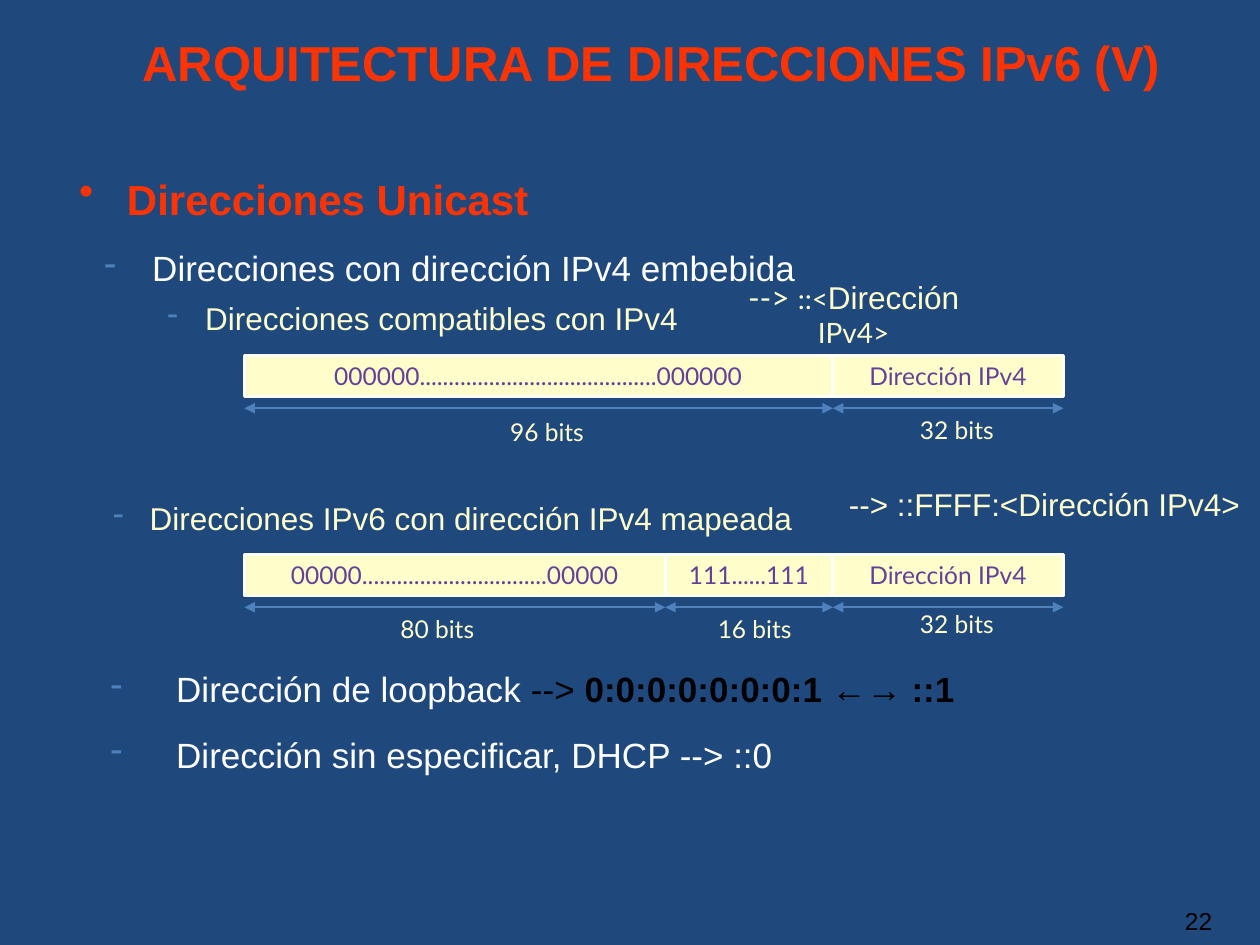
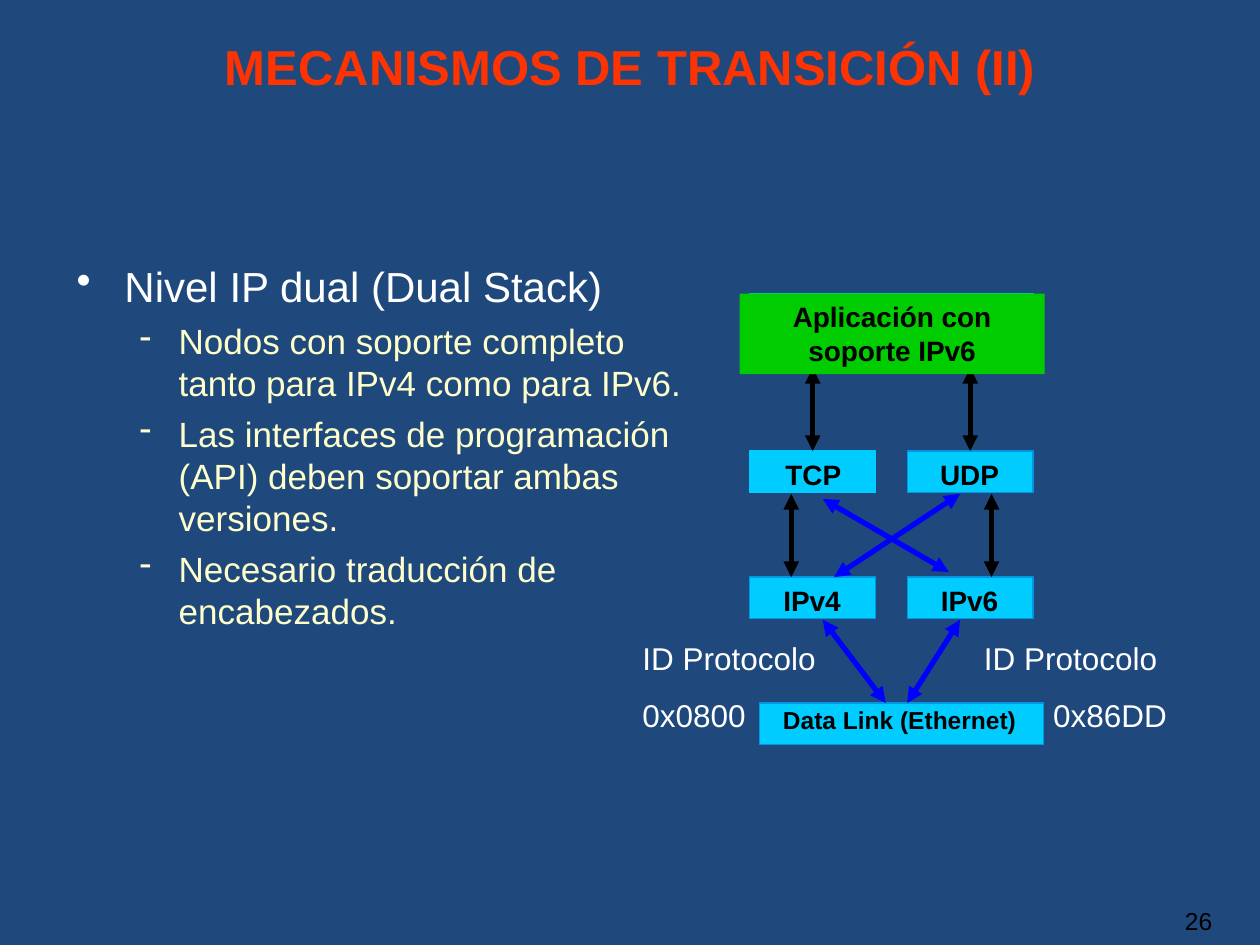
from dataclasses import dataclass
from lxml import etree
from pptx import Presentation
from pptx.dml.color import RGBColor as RGB
from pptx.enum.shapes import MSO_CONNECTOR as LINK, MSO_SHAPE as SHAPE
from pptx.enum.text import MSO_ANCHOR as ANC, MSO_AUTO_SIZE as FIT, PP_ALIGN as AL
from pptx.oxml.ns import qn
from pptx.util import Inches, Pt


@dataclass(frozen=True)
class Theme:
    navy: str = "1F497D"
    red: str = "FF3300"
    white: str = "FFFFFF"
    black: str = "000000"
    cream: str = "FFFFCC"
    steel: str = "4F81BD"
    plum: str = "644098"
    cyan: str = "00CCFF"
    edge: str = "0297E2"
    green: str = "00CC00"
    mint: str = "00D2B4"
    blue: str = "0000FF"
    sans: str = "Arial"
    alt: str = "Lato"
    title: int = 28
    head: int = 24
    body: int = 20
    sub: int = 18
    node: int = 16
    small: int = 14


T = Theme()

# Text styles: size, font, colour, bold
TITLE = (T.title, T.sans, T.red, True)
HEAD = (T.head, T.sans, T.red, True)
LEAD = (T.head, T.sans, T.white, False)
BODY = (T.body, T.sans, T.white, False)
DARK = (T.body, T.sans, T.black, False)
BOLD = (T.body, T.sans, T.black, True)
ITEM = (T.body, T.sans, T.cream, False)
SUB = (T.sub, T.sans, T.cream, False)
SUBALT = (T.sub, T.alt, T.cream, False)
MARK = (T.node, T.alt, T.cream, False)
SIDE = (T.sub, T.sans, T.white, False)
NODE = (T.node, T.sans, T.black, True)
LINKED = (T.small, T.sans, T.black, True)
PAGE = (T.small, T.sans, T.black, False)
FIELD = (T.small, T.alt, T.plum, False)
BITS = (T.small, T.alt, T.cream, False)


def write(shape, paras, **frame):
    """Fill a shape; each paragraph is (runs, format), each run (text, style)."""
    tf = shape.text_frame
    for key, val in {"word_wrap": True, "auto_size": FIT.NONE, **frame}.items():
        setattr(tf, key, val)
    for i, (runs, form) in enumerate(paras):
        para = tf.paragraphs[0] if i == 0 else tf.add_paragraph()
        form = dict(form)
        left, first = form.pop("ind", (0, 0))
        sign, tint = form.pop("bullet", (None, None))
        ppr = para._p.get_or_add_pPr()
        ppr.set("marL", str(Inches(left)))
        ppr.set("indent", str(Inches(first)))
        if sign:
            clr = etree.SubElement(ppr, qn("a:buClr"))
            etree.SubElement(clr, qn("a:srgbClr"), val=tint)
            etree.SubElement(ppr, qn("a:buChar"), char=sign)
        else:
            etree.SubElement(ppr, qn("a:buNone"))
        for key, val in form.items():
            setattr(para, key, val)
        for words, (size, name, color, bold) in runs:
            run = para.add_run()
            run.text = words
            for key, val in {"size": Pt(size), "name": name, "bold": bold}.items():
                setattr(run.font, key, val)
            run.font.color.rgb = RGB.from_string(color)


def arrow(slide, start, end, color, width):
    """Draw a straight line with a triangle at both ends."""
    line = slide.shapes.add_connector(LINK.STRAIGHT, *map(Inches, start + end))
    line.line.color.rgb = RGB.from_string(color)
    line.line.width = Pt(width)
    ln = line.line._get_or_add_ln()
    for tag in ("a:headEnd", "a:tailEnd"):
        etree.SubElement(ln, qn(tag), type="triangle")
    etree.SubElement(line._element.spPr, qn("a:effectLst"))
    return line


prs = Presentation()
prs.slide_width, prs.slide_height = Inches(10), Inches(7.5)
back = prs.slide_master.background.fill
back.solid()
back.fore_color.rgb = RGB.from_string(T.navy)

MID = {"alignment": AL.CENTER}
DASH = {"bullet": ("-", T.steel)}

# Titles and page numbers
pages = []
for words, at, form, frame, num in (
    ("ARQUITECTURA DE DIRECCIONES IPv6 (V)", (0.83, 0.21, 8.66, 0.57),
     {"alignment": AL.LEFT, "ind": (0.2, 0)}, {"vertical_anchor": ANC.TOP}, "22"),
    ("MECANISMOS DE TRANSICIÓN (II)", (0.1, 0, 9.8, 0.81),
     MID, {"vertical_anchor": ANC.BOTTOM}, "26"),
):
    page = prs.slides.add_slide(prs.slide_layouts[5])
    head = page.shapes.title
    head.left, head.top, head.width, head.height = map(Inches, at)
    write(head, [([(words, TITLE)], form)], **frame)
    foot = page.shapes.add_textbox(*map(Inches, (9.17, 7.14, 0.55, 0.52)))
    write(foot, [([(num, PAGE)], {"alignment": AL.RIGHT})])
    pages.append(page)
addr, dual = pages

# Address slide: bulleted text
for at, paras, frame in (
    ((0.53, 1.47, 8.94, 0.35),
     [([("Direcciones Unicast", HEAD)],
       {"ind": (0.38, -0.38), "bullet": ("•", T.red), "line_spacing": 0.6})], {}),
    ((0.44, 1.96, 8.83, 1.34),
     [([("Direcciones con dirección IPv4 embebida", BODY)],
       {"ind": (0.67, -0.38), **DASH}),
      ([("Direcciones compatibles con IPv4", SUB)],
       {"ind": (1.09, -0.3), "space_before": Pt(6), **DASH})],
     {"margin_top": 0}),
    ((0.53, 3.7, 9.08, 0.88),
     [([("Direcciones IPv6 con dirección IPv4 mapeada", SUB)],
       {"ind": (0.56, -0.29), **DASH})],
     {"margin_top": Inches(0.26)}),
    ((0.78, 5.23, 8.25, 0.94),
     [([("Dirección de loopback ", BODY), ("--> ", DARK),
        ("0:0:0:0:0:0:0:1 ←→ ::1", BOLD)], {"ind": (0.52, -0.52), **DASH}),
      ([("Dirección sin especificar, DHCP --> ::0", BODY)],
       {"ind": (0.52, -0.52), "space_before": Pt(13.5), **DASH})],
     {"margin_top": Inches(0.07)}),
    ((5.53, 2.29, 2.49, 0.4),
     [([("--> ", SUBALT), ("::<", MARK), ("Dirección", SUB), (" IPv4>", MARK)], MID)],
     {"vertical_anchor": ANC.MIDDLE, "margin_left": Inches(0.35),
      "margin_right": Inches(0.35)}),
    ((6.64, 3.8, 3.3, 0.4),
     [([("--> ::FFFF:<Dirección IPv4>", SUB)], MID)],
     {"vertical_anchor": ANC.MIDDLE, "word_wrap": False}),
):
    write(addr.shapes.add_textbox(*map(Inches, at)), paras, **frame)

# Address slide: fields with their widths in bits
for top, left, width, words, bits, (x, y, wide, pad) in (
    (2.82, 1.94, 4.67, "000000.........................................000000",
     "96 bits", (1.94, 3.26, 3.25, 2.01)),
    (2.82, 6.61, 1.83, "Dirección IPv4", "32 bits", (7.11, 3.24, 0.97, 0)),
    (4.4, 1.94, 3.34, "00000................................00000",
     "80 bits", (2.03, 4.82, 2.33, 1.05)),
    (4.4, 5.28, 1.33, "111......111", "16 bits", (5.44, 4.82, 1.1, 0)),
    (4.4, 6.61, 1.83, "Dirección IPv4", "32 bits", (7.11, 4.78, 0.97, 0)),
):
    field = addr.shapes.add_shape(SHAPE.RECTANGLE, *map(Inches, (left, top, width, 0.33)))
    field.shadow.inherit = False
    field.fill.solid()
    field.fill.fore_color.rgb = RGB.from_string(T.cream)
    field.line.color.rgb = RGB.from_string(T.white)
    field.line.width = Pt(1.5)
    write(field, [([(words, FIELD)], MID)],
          vertical_anchor=ANC.MIDDLE, word_wrap=False)
    arrow(addr, (left, top + 0.42), (left + width, top + 0.42), T.steel, 1)
    label = addr.shapes.add_textbox(*map(Inches, (x, y, wide, 0.34)))
    form = {"ind": (pad, 0), "alignment": AL.LEFT} if pad else MID
    write(label, [([(bits, BITS)], form)], vertical_anchor=ANC.MIDDLE)

# Dual stack slide: layers, with the arrows drawn before the application
layers = {}
for name, at, fill, edge in (
    ("UDP", (7.2, 3.58, 1, 0.33), T.cyan, T.edge),
    ("TCP", (5.95, 3.58, 1, 0.33), T.cyan, T.cyan),
    ("IPv4", (5.95, 4.58, 1, 0.33), T.cyan, T.edge),
    ("IPv6", (7.2, 4.58, 1, 0.33), T.cyan, T.edge),
    ("link", (6.03, 5.58, 2.25, 0.33), T.cyan, T.edge),
    ("arrows", None, None, None),
    ("frame", (5.95, 2.33, 2.25, 0.58), T.green, T.mint),
    ("app", (5.87, 2.33, 2.42, 0.64), T.green, None),
):
    if name == "arrows":
        for start, end, color in (
            ((6.28, 3.92), (6.28, 4.58), T.black),
            ((7.87, 3.92), (7.87, 4.58), T.black),
            ((6.53, 3.96), (7.53, 4.54), T.blue),
            ((6.62, 4.58), (7.62, 3.92), T.blue),
            ((6.53, 4.92), (7.03, 5.58), T.blue),
            ((7.2, 5.58), (7.62, 4.92), T.blue),
        ):
            arrow(dual, start, end, color, 3)
        for x, goal in ((7.7, "UDP"), (6.45, "TCP")):
            arrow(dual, (x, 2.92), (x, 3.58), T.black, 3).end_connect(layers[goal], 0)
        continue
    layer = dual.shapes.add_shape(SHAPE.RECTANGLE, *map(Inches, at))
    layer.shadow.inherit = False
    layer.fill.solid()
    layer.fill.fore_color.rgb = RGB.from_string(fill)
    if edge:
        layer.line.color.rgb = RGB.from_string(edge)
        layer.line.width = Pt(0.75)
    else:
        layer.line.fill.background()
    layers[name] = layer
write(layers["app"], [([("Aplicación con soporte IPv6", NODE)], MID)],
      vertical_anchor=ANC.TOP)

# Dual stack slide: layer names
for words, at, style in (
    ("TCP", (5.87, 3.58, 1.17, 0.37), NODE),
    ("UDP", (7.28, 3.58, 0.83, 0.37), NODE),
    ("IPv4", (6.03, 4.58, 0.83, 0.37), NODE),
    ("IPv6", (7.28, 4.58, 0.83, 0.37), NODE),
    ("Data Link (Ethernet)", (6.1, 5.55, 2.08, 0.34), LINKED),
):
    write(dual.shapes.add_textbox(*map(Inches, at)), [([(words, style)], MID)])

# Dual stack slide: points
points = [([("Nivel IP dual (Dual Stack)", LEAD)],
           {"ind": (0.38, -0.38), "bullet": ("•", T.white)})]
for words in (
    "Nodos con soporte completo tanto para IPv4 como para IPv6.",
    "Las interfaces de programación (API) deben soportar ambas versiones.",
    "Necesario traducción de encabezados.",
):
    points.append(([(words, ITEM)],
                   {"level": 1, "ind": (0.81, -0.31), "bullet": ("-", T.cream),
                    "space_before": Pt(5)}))
write(dual.shapes.add_textbox(*map(Inches, (0.51, 2.02, 5.1, 4.09))), points)

# Dual stack slide: protocol numbers
for left, wide, code, pads in (
    (5, 1.73, "0x0800", (0, 0)),
    (7.36, 2.01, "0x86DD", (0.35, 0.9)),
):
    note = dual.shapes.add_textbox(*map(Inches, (left, 5.02, wide, 0.86)))
    write(note, [([("ID Protocolo", SIDE)], {"ind": (pads[0], 0)}),
                 ([(code, SIDE)], {"ind": (pads[1], 0), "space_before": Pt(11.2)})],
          margin_right=0)

prs.save("out.pptx")
